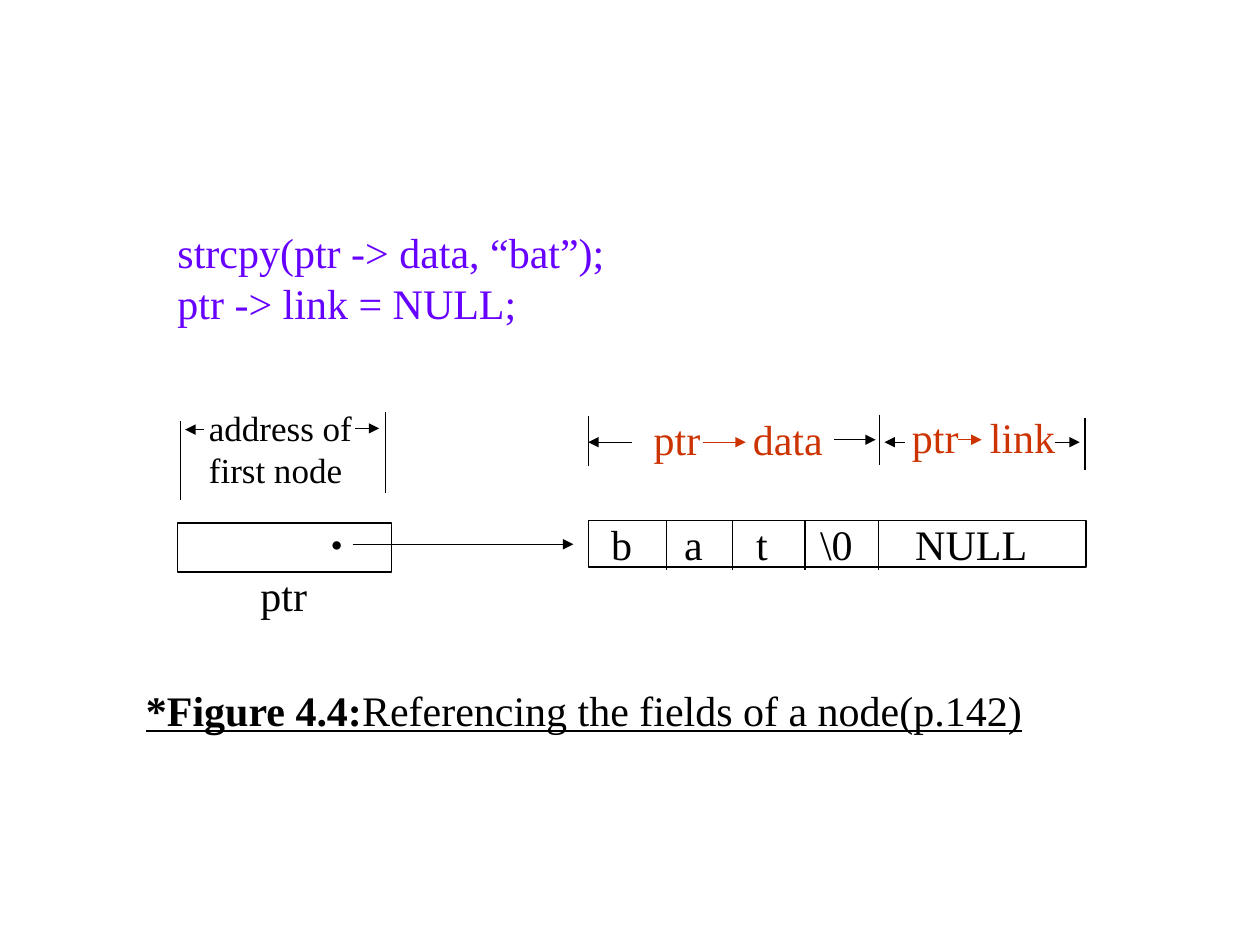
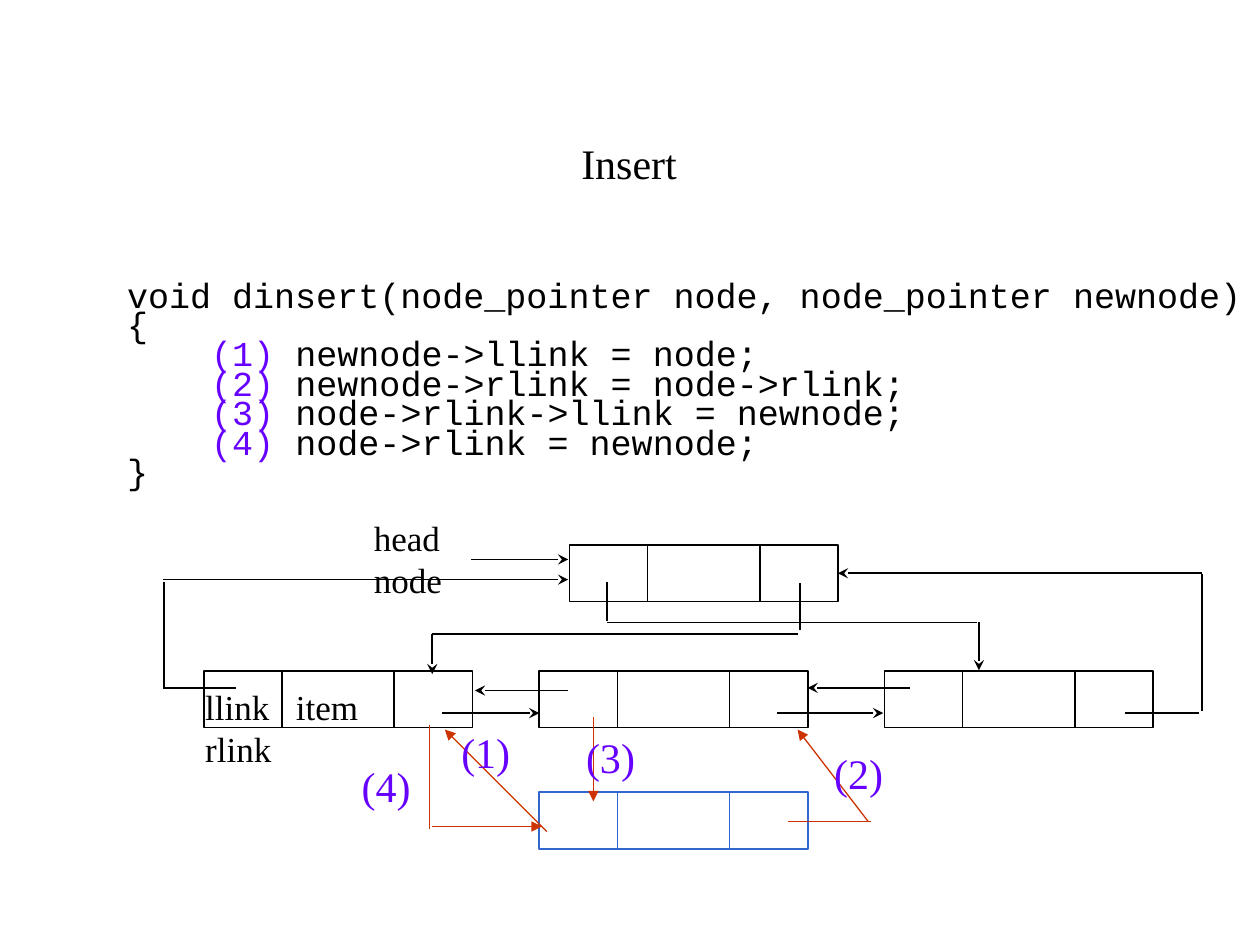
import dataclasses

import pptx
import pptx.dml.color
import pptx.enum.shapes
import pptx.enum.text
import pptx.oxml
import pptx.oxml.ns
import pptx.util

Pt = pptx.util.Pt
RGB = pptx.dml.color.RGBColor.from_string
ALIGN = pptx.enum.text.PP_ALIGN
MIDDLE = pptx.enum.text.MSO_ANCHOR.MIDDLE
BOX = pptx.enum.shapes.MSO_SHAPE.RECTANGLE
STRAIGHT = pptx.enum.shapes.MSO_CONNECTOR.STRAIGHT


@dataclasses.dataclass(frozen=True)
class Theme:
    black: str = "000000"
    red: str = "CC3300"
    blue: str = "3366CC"
    violet: str = "6600FF"
    serif: str = "Times New Roman"
    mono: str = "Courier New"
    big: int = 24
    small: int = 20
    thin: float = 0.75
    thick: float = 1


LOOK = Theme()
NODE_W, NODE_H = 153.4, 32.4
SPLITS = (44.6, 108.7)


def add_xml(parent, tag, **attrs):
    child = parent.makeelement(pptx.oxml.ns.qn(tag), attrs)
    parent.append(child)
    return child


def set_font(para, size=LOOK.big, color=LOOK.black, name=LOOK.serif):
    para.font.size = Pt(size)
    para.font.name = name
    if color:
        para.font.color.rgb = RGB(color)


def set_tabs(para, stops):
    """Put left tab stops, in points, on a paragraph."""
    if stops:
        tabs = add_xml(para._p.get_or_add_pPr(), "a:tabLst")
        for stop in stops:
            add_xml(tabs, "a:tab", pos=str(int(Pt(stop))), algn="l")


def add_text(slide, x, y, w, h, lines, size=LOOK.big, color=LOOK.black,
             tabs=(), align=ALIGN.LEFT):
    box = slide.shapes.add_textbox(Pt(x), Pt(y), Pt(w), Pt(h))
    frame = box.text_frame
    frame.word_wrap = True
    for i, line in enumerate(lines):
        para = frame.add_paragraph() if i else frame.paragraphs[0]
        para.text = line
        para.alignment = align
        set_tabs(para, tabs)
        set_font(para, size, color)
    return box


def add_line(shapes, x1, y1, x2, y2, color=LOOK.black, width=LOOK.thin, tip=None):
    """Draw a straight line; tip names the arrowhead at its end."""
    line = shapes.add_connector(STRAIGHT, Pt(x1), Pt(y1), Pt(x2), Pt(y2))
    line.line.color.rgb = RGB(color)
    line.line.width = Pt(width)
    if tip:
        add_xml(line.line._get_or_add_ln(), "a:tailEnd", type=tip)
    add_xml(line._element.spPr, "a:effectLst")
    return line


def add_box(shapes, x, y, w, h, color=LOOK.black, width=LOOK.thin):
    box = shapes.add_shape(BOX, Pt(x), Pt(y), Pt(w), Pt(h))
    box.shadow.inherit = False
    box.fill.background()
    box.line.color.rgb = RGB(color)
    box.line.width = Pt(width)
    return box


def add_node(slide, x, y, color=LOOK.black):
    """Draw a grouped box of three fields and return the box."""
    parts = slide.shapes.add_group_shape().shapes
    box = add_box(parts, x, y, NODE_W, NODE_H, color, LOOK.thick)
    for split in SPLITS:
        add_line(parts, x + split, y, x + split, y + NODE_H, color, LOOK.thick)
    return box


def add_code(slide, x, y, w, h, lines):
    """Set code lines; a line is a string or a (step, code) pair."""
    frame = slide.shapes.add_textbox(Pt(x), Pt(y), Pt(w), Pt(h)).text_frame
    frame.word_wrap = True
    for i, line in enumerate(lines):
        para = frame.add_paragraph() if i else frame.paragraphs[0]
        para.line_spacing = 0.7
        if isinstance(line, str):
            para.text = line
            set_font(para, LOOK.small, name=LOOK.mono)
            continue
        step, code = line
        set_font(para, LOOK.small, None, LOOK.mono)
        for words, color in ((f"    {step} ", LOOK.violet), (code, LOOK.black)):
            run = para.add_run()
            run.text = words
            run.font.color.rgb = RGB(color)


def add_title(slide, words, x, y, w, h):
    title = slide.shapes.title
    title.left, title.top, title.width, title.height = map(Pt, (x, y, w, h))
    frame = title.text_frame
    frame.text = words
    frame.vertical_anchor = MIDDLE
    frame.paragraphs[0].alignment = ALIGN.CENTER
    set_font(frame.paragraphs[0])


def add_row(slide):
    """Draw the node whose fields hold "bat" and NULL."""
    x, y, w, h = 336.2, 297.4, 284.4, 26.6
    row = add_box(slide.shapes, x, y, w, h)
    frame = row.text_frame
    frame.word_wrap = True
    frame.vertical_anchor = MIDDLE
    frame.margin_left, frame.margin_top, frame.margin_bottom = Pt(13), 0, 0
    para = frame.paragraphs[0]
    para.text = "b\ta\tt\t\\0\tNULL"
    para.alignment = ALIGN.LEFT
    set_tabs(para, (41.7, 82.9, 119.4, 173.8))
    set_font(para)
    for split in (381, 418.5, 460, 502):
        add_line(slide.shapes, split, y, split, 326)


def add_caption(slide):
    box = add_text(slide, 76.3, 387.4, 530, 36, [""])
    para = box.text_frame.paragraphs[0]
    para.font.underline = True
    for words, bold in (("*Figure 4.4:", True),
                        ("Referencing the fields of a node(p.142)", False)):
        run = para.add_run()
        run.text = words
        run.font.bold = bold


def fill_fields(slide):
    add_text(slide, 94.3, 126, 270, 65.5,
             ["strcpy(ptr -> data, “bat”);", "ptr -> link = NULL;"], color=LOOK.violet)
    add_box(slide.shapes, 101.5, 298.8, 122.4, 28.1)
    add_row(slide)
    add_text(slide, 181.8, 295.2, 24, 31, ["•"], LOOK.small)
    add_text(slide, 112.3, 229, 127, 55.4, ["address of", "first node"], LOOK.small)
    add_text(slide, 366.5, 232.6, 125, 36, ["ptr\tdata"], color=LOOK.red, tabs=[56.6])
    add_text(slide, 514, 231.8, 105, 36, ["ptr\tlink"], color=LOOK.red, tabs=[44.6])
    add_text(slide, 141.8, 321.8, 45, 36, ["ptr"])
    for x, top, bottom in ((103, 240.5, 285.8), (220.3, 235.4, 281.5),
                           (336.2, 237.6, 266.4), (502.6, 236.9, 265.7),
                           (620, 239, 268.6)):
        add_line(slide.shapes, x, top, x, bottom)
    for start, end, y, color in ((201.6, 327.6, 311, LOOK.black),
                                 (116.6, 105.8, 245.5, LOOK.black),
                                 (203, 216.7, 244.8, LOOK.black),
                                 (361.4, 336.2, 252.7, LOOK.black),
                                 (476.6, 500.4, 251.3, LOOK.black),
                                 (517, 505.4, 252.7, LOOK.black),
                                 (602.6, 617, 252.7, LOOK.black),
                                 (401.8, 426.2, 252.7, LOOK.red),
                                 (547.2, 560.9, 251.3, LOOK.red)):
        add_line(slide.shapes, start, y, end, y, color, tip="triangle")
    add_caption(slide)


def add_links(slide, head):
    """Draw the black links of the ring, and join one to the head node."""
    plain = ((642.9, 407.5, 685.4, 407.5), (686.8, 406.1, 686.8, 328.3),
             (134.6, 393.1, 92.9, 393.1), (93.6, 393.1, 93.6, 332.6),
             (457.2, 333.4, 457.2, 360), (247, 362.2, 455.8, 362.2),
             (347, 332.6, 347, 355), (347, 355.7, 558, 355.7))
    tipped = ((252.7, 407.5, 308.2, 407.5), (324.7, 394.6, 271.4, 394.6),
              (444.2, 407.5, 504.7, 407.5), (519.8, 393.1, 461.5, 393.1),
              (92.9, 331.2, 324.7, 331.2), (269.3, 319.7, 324.7, 319.7),
              (247, 362.2, 247, 385.2), (559.4, 355.7, 559.4, 383))
    for ends in plain:
        add_line(slide.shapes, *ends, width=LOOK.thick)
    for ends in tipped:
        add_line(slide.shapes, *ends, width=LOOK.thick, tip="stealth")
    y = 311.4 + NODE_H / 2
    back = add_line(slide.shapes, 686.8, y, 478.8, y, width=LOOK.thick, tip="stealth")
    back.end_connect(head, 3)


def add_steps(slide):
    """Draw the red links that the four code steps set."""
    for ends, tip in (((450, 469.4, 497.5, 469.4), None),
                      ((496.1, 469.4, 455.8, 416.9), "triangle"),
                      ((339.1, 409.7, 339.1, 457.9), "triangle"),
                      ((312.5, 475.2, 254.2, 416.9), "triangle"),
                      ((245.5, 414, 245.5, 473.8), None),
                      ((247, 472.3, 309.6, 472.3), "triangle")):
        add_line(slide.shapes, *ends, LOOK.red, tip=tip)
    for tag, x, y in (("(1)", 252.6, 411.8), ("(2)", 465.7, 423.4),
                      ("(3)", 323.9, 414.7), ("(4)", 195.7, 431.3)):
        add_text(slide, x, y, 50, 36, [tag], color=LOOK.violet, align=ALIGN.CENTER)


def fill_insert(slide):
    add_title(slide, "Insert", 28, 48.2, 663, 90)
    add_code(slide, 65.5, 159.1, 654.5, 154.8, [
        "void dinsert(node_pointer node, node_pointer newnode)",
        "{",
        ("(1)", "newnode->llink = node;"),
        ("(2)", "newnode->rlink = node->rlink;"),
        ("(3)", "node->rlink->llink = newnode;"),
        ("(4)", "node->rlink = newnode;"),
        "}"])
    for x in (116.6, 308.2, 505.4):
        add_node(slide, x, 383.4)
    head = add_node(slide, 325.4, 311.4)
    add_node(slide, 308.2, 452.7, LOOK.blue)
    add_links(slide, head)
    add_text(slide, 206.6, 291.6, 80, 55, ["head", "node"], LOOK.small)
    add_text(slide, 110.2, 388.1, 144, 55, ["llink\titem", "rlink"], LOOK.small,
             tabs=[51.8])
    add_steps(slide)


def main():
    deck = pptx.Presentation()
    deck.slide_width, deck.slide_height = Pt(720), Pt(540)
    blank, titled = deck.slide_layouts[6], deck.slide_layouts[5]
    fill_fields(deck.slides.add_slide(blank))
    fill_insert(deck.slides.add_slide(titled))
    deck.save("out.pptx")


if __name__ == "__main__":
    main()
